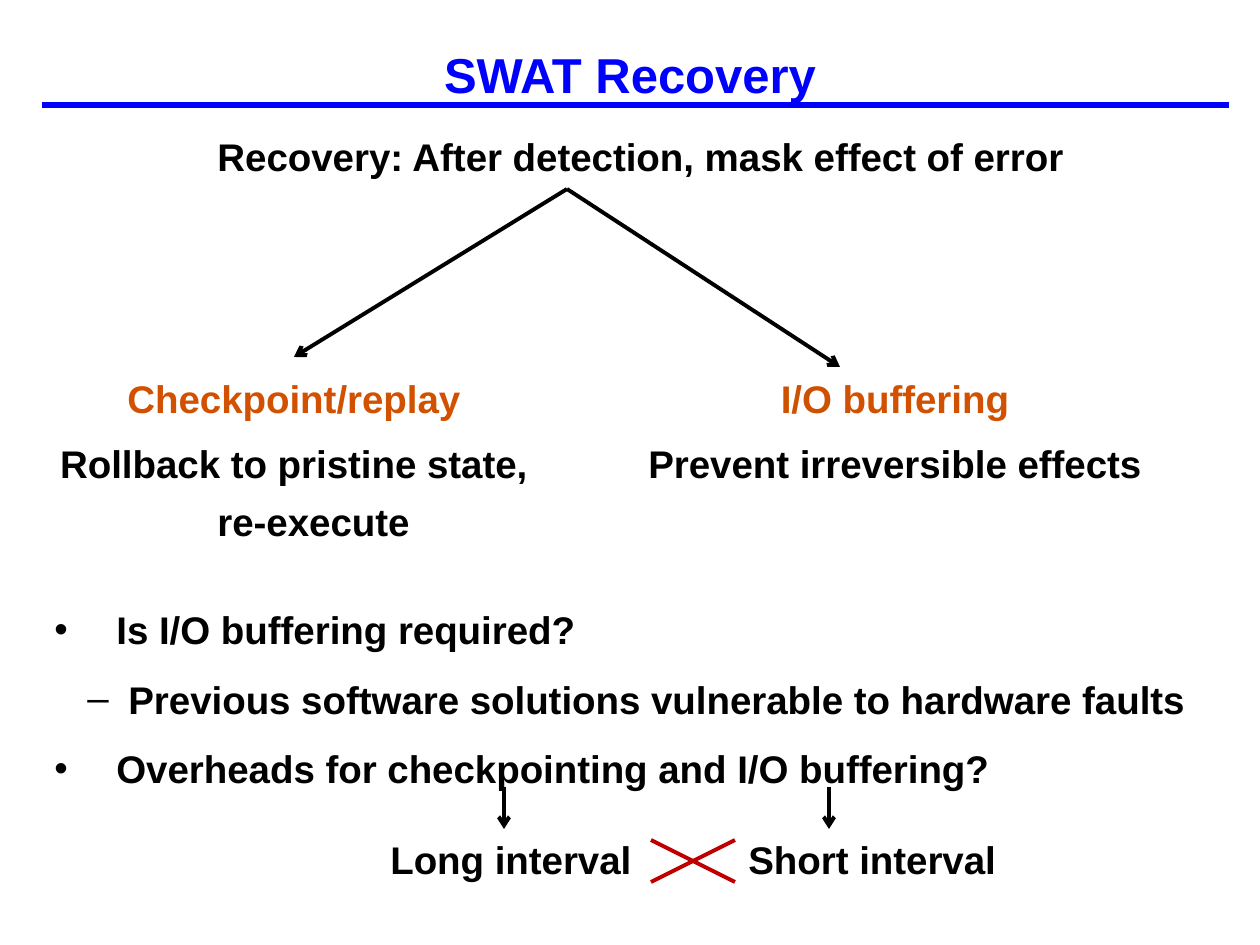
import lxml.etree
import pptx
import pptx.dml.color
import pptx.enum.shapes
import pptx.enum.text
import pptx.oxml.ns
import pptx.util

RGB = pptx.dml.color.RGBColor
BLUE = RGB(0x00, 0x00, 0xFF)
BLACK = RGB(0x00, 0x00, 0x00)
ORANGE = RGB(0xD1, 0x51, 0x00)
DARK_ORANGE = RGB(0xCD, 0x51, 0x00)
RED = RGB(0xC0, 0x00, 0x00)

LEFT = pptx.enum.text.PP_ALIGN.LEFT
CENTER = pptx.enum.text.PP_ALIGN.CENTER
TOP = pptx.enum.text.MSO_ANCHOR.TOP
MIDDLE = pptx.enum.text.MSO_ANCHOR.MIDDLE


def px(count):
    return pptx.util.Emu(round(count * 914400 / 126))


def add_xml(parent, tag, **attributes):
    return lxml.etree.SubElement(parent, pptx.oxml.ns.qn(tag), attributes)


class SlideWriter:
    font = "Arial"
    size = 22

    def __init__(self, page):
        self.page = page

    def box(self, left, top, width, height, anchor=TOP):
        box = self.page.shapes.add_textbox(px(left), px(top), px(width), px(height))
        box.text_frame.word_wrap = True
        box.text_frame.vertical_anchor = anchor
        return box

    def para(self, box, *spans, align=LEFT, size=None, spacing=1.0, before=0,
             margin=0, indent=0, bullet=None, level=0):
        """Add a paragraph of (text, colour) spans, filling the empty first one."""
        frame = box.text_frame
        para = frame.paragraphs[0]
        if para.runs:
            para = frame.add_paragraph()
        para.alignment = align
        para.level = level
        para.line_spacing = spacing
        para.space_before = pptx.util.Pt(before)
        properties = para._p.get_or_add_pPr()
        properties.set("marL", str(px(margin)))
        properties.set("indent", str(px(indent)))
        if bullet:
            add_xml(properties, "a:buFont", typeface=self.font)
            add_xml(properties, "a:buChar", char=bullet)
        for text, color in spans:
            span = para.add_run()
            span.text = text
            span.font.name = self.font
            span.font.size = pptx.util.Pt(size or self.size)
            span.font.bold = True
            span.font.color.rgb = color

    def centered(self, box, *spans, hang):
        self.para(box, *spans, align=CENTER, spacing=1.25, before=4.4,
                  margin=hang, indent=-hang)

    def line(self, start, end, color=BLACK, weight=2.25, arrow=False):
        line = self.page.shapes.add_connector(
            pptx.enum.shapes.MSO_CONNECTOR.STRAIGHT,
            *(px(value) for value in (*start, *end)))
        line.line.color.rgb = color
        line.line.width = pptx.util.Pt(weight)
        if arrow:
            add_xml(line.line._get_or_add_ln(), "a:tailEnd", type="arrow")
        add_xml(line._element.spPr, "a:effectLst")
        return line


def main():
    deck = pptx.Presentation()
    deck.slide_width, deck.slide_height = px(1260), px(945)
    writer = SlideWriter(deck.slides.add_slide(deck.slide_layouts[6]))

    writer.line((42, 105), (1229, 105), BLUE, weight=3)
    title = writer.box(0, 21, 1260, 105, MIDDLE)
    writer.para(title, ("SWAT Recovery", BLUE), align=CENTER, size=28)

    goal = writer.box(32, 115, 1228, 73)
    writer.centered(goal, ("Recovery: After detection, mask effect of error ", BLACK),
                    hang=47)

    replay = writer.box(21, 357, 546, 210)
    writer.centered(replay, ("Checkpoint/replay", ORANGE), hang=39)
    writer.centered(replay, ("Rollback to pristine state, re-execute", BLACK), hang=39)

    buffering = writer.box(599, 357, 592, 210)
    writer.centered(buffering, ("I/O ", DARK_ORANGE), ("buffering", ORANGE), hang=39)
    writer.centered(buffering, ("Prevent irreversible effects", BLACK), hang=39)

    fork = (567, 189)
    to_replay = writer.line(fork, (294, 357), arrow=True)
    to_replay.end_connect(replay, 0)
    writer.line(fork, (840, 367), arrow=True)

    questions = writer.box(42, 577, 1197, 273)
    for level, text in (
        (0, "Is I/O buffering required?"),
        (1, "Previous software solutions vulnerable to hardware faults"),
        (0, "Overheads for checkpointing and I/O buffering?"),
    ):
        margin, indent, bullet = ((62, -62, "•"), (74, -41, "–"))[level]
        writer.para(questions, (text, BLACK), spacing=1.5, level=level,
                    margin=margin, indent=indent, bullet=bullet)

    for arrow_x, left, text in ((504, 378, "Long interval"),
                                (829, 736, "Short interval")):
        writer.line((arrow_x, 787), (arrow_x, 829), arrow=True)
        interval = writer.box(left, 830, 290, 59)
        writer.para(interval, (text, BLACK))

    for start_y, end_y in ((840, 882), (882, 840)):
        writer.line((651, start_y), (735, end_y), RED)

    deck.save("out.pptx")


if __name__ == "__main__":
    main()
